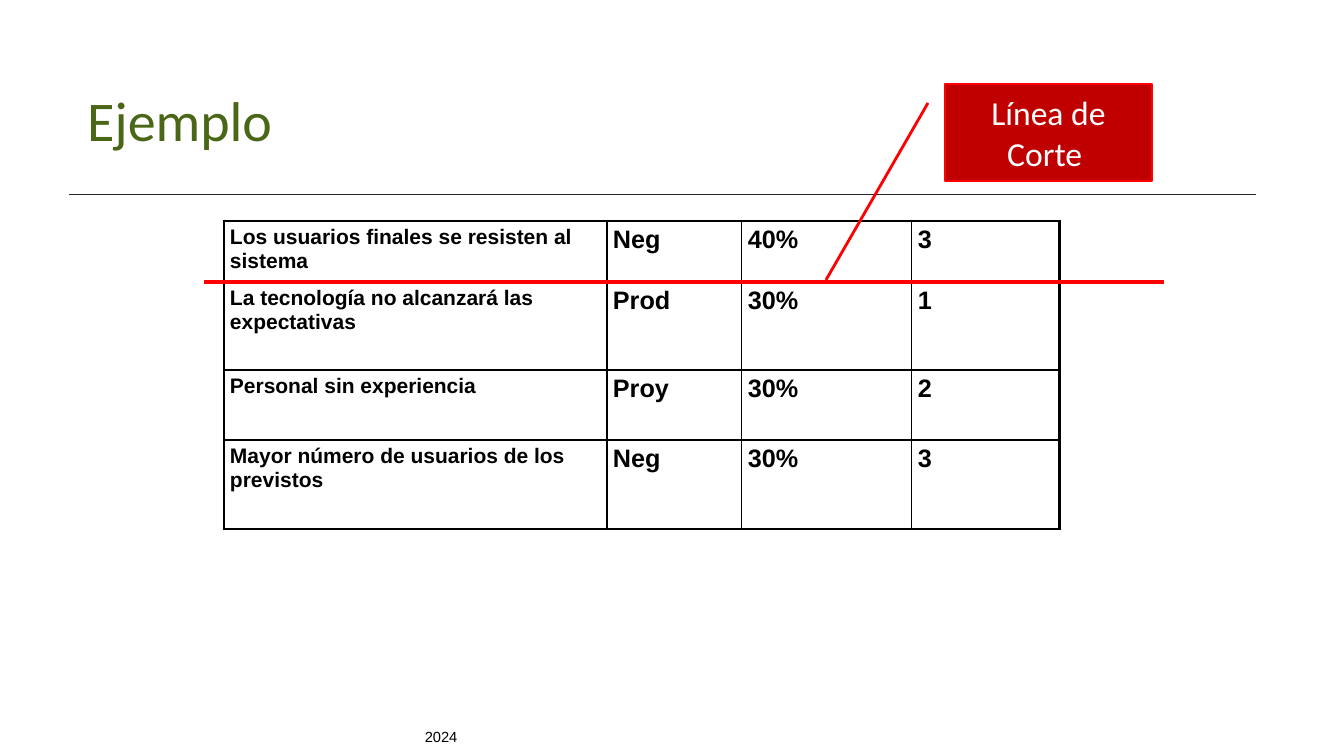
from lxml.etree import SubElement
from pptx import Presentation
from pptx.dml.color import RGBColor
from pptx.enum.shapes import MSO_CONNECTOR, MSO_SHAPE
from pptx.enum.text import MSO_ANCHOR, MSO_AUTO_SIZE, PP_ALIGN
from pptx.oxml.ns import qn
from pptx.util import Pt

# Content
TITLE = "Ejemplo"
YEAR = "2024"
CUT_LABEL = "Línea de Corte "
RISKS = [
    ("Los usuarios finales se resisten al sistema", "Neg", "40%", "3"),
    ("La tecnología no alcanzará las expectativas", "Prod", "30%", "1"),
    ("Personal sin experiencia", "Proy", "30%", "2"),
    ("Mayor número de usuarios de los previstos", "Neg", "30%", "3"),
]

# Format, lengths in px
COLORS = {"title": "4A6617", "text": "000000", "rule": "262626",
          "cut": "FF0000", "label": "C00000", "white": "FFFFFF"}
FORMATS = {
    "title": {"name": "Calibri", "size": Pt(40), "bold": False},
    "year": {"name": "Arial", "size": Pt(10.5), "bold": False},
    "risk": {"name": "Arial", "size": Pt(15), "bold": True},
    "value": {"name": "Arial", "size": Pt(18), "bold": True},
    "label": {"name": "Calibri", "size": Pt(24), "bold": False},
}
COLUMNS = [383, 135, 170, 148]
ROWS = [61, 88, 70, 89]
TABLE_LEFT, TABLE_TOP = 224, 221
LABEL_BOX = (945, 84, 207, 97)
POINTER = [(928, 103), (826, 280)]
THIN, THICK = 0.96, 2.21


def px(length):
    return round(length * 914400 / 100.8)


def write(frame, text, style, color):
    paragraph = frame.paragraphs[0]
    run = paragraph.add_run()
    run.text = text
    for key, value in FORMATS[style].items():
        setattr(run.font, key, value)
    run.font.color.rgb = RGBColor.from_string(COLORS[color])
    return paragraph


def draw_line(start, end, color, width):
    line = slide.shapes.add_connector(MSO_CONNECTOR.STRAIGHT, *map(px, start + end))
    line.line.color.rgb = RGBColor.from_string(COLORS[color])
    line.line.width = Pt(width)
    SubElement(line._element.spPr, qn("a:effectLst"))


def add_border(cell, side, width):
    border = SubElement(cell._tc.get_or_add_tcPr(), qn(f"a:ln{side}"), w=str(Pt(width)))
    fill = SubElement(border, qn("a:solidFill"))
    SubElement(fill, qn("a:srgbClr"), val=COLORS["text"])


deck = Presentation()
deck.slide_width, deck.slide_height = px(1344), px(756)
slide = deck.slides.add_slide(deck.slide_layouts[5])

# Title, rule and year
title = slide.shapes.title
title.left, title.top, title.width, title.height = map(px, (77, 54, 893, 140))
title.text_frame.auto_size = MSO_AUTO_SIZE.NONE
title.text_frame.vertical_anchor = MSO_ANCHOR.MIDDLE
heading = write(title.text_frame, TITLE, "title", "title")
heading.alignment = PP_ALIGN.LEFT
heading.line_spacing = 0.85
draw_line((69, 195), (1256, 195), "rule", 0.75)
year = slide.shapes.add_textbox(*map(px, (415, 723, 91, 28))).text_frame
year.word_wrap = True
write(year, YEAR, "year", "text")

# Risk table: thick outer border, thin inner borders
risk_table = slide.shapes.add_table(
    len(ROWS), len(COLUMNS),
    *map(px, (TABLE_LEFT, TABLE_TOP, sum(COLUMNS), sum(ROWS)))).table
risk_table.first_row = risk_table.horz_banding = False
for column, width in zip(risk_table.columns, COLUMNS):
    column.width = px(width)
for row, height in zip(risk_table.rows, ROWS):
    row.height = px(height)
for r, risk in enumerate(RISKS):
    for c, text in enumerate(risk):
        cell = risk_table.cell(r, c)
        cell.margin_left = cell.margin_right = px(6)
        cell.margin_top = cell.margin_bottom = px(5)
        write(cell.text_frame, text, "value" if c else "risk", "text")
        outer = {"L": c == 0, "R": c == len(COLUMNS) - 1,
                 "T": r == 0, "B": r == len(ROWS) - 1}
        for side, is_outer in outer.items():
            add_border(cell, side, THICK if is_outer else THIN)
        cell.fill.background()

# Cut line below the first risk
cut_y = TABLE_TOP + ROWS[0]
draw_line((204, cut_y), (1164, cut_y), "cut", 3)

# Label with its pointer; adjustments are fractions of the label box
label = slide.shapes.add_shape(MSO_SHAPE.LINE_CALLOUT_1, *map(px, LABEL_BOX))
left, top, width, height = LABEL_BOX
for i, (x, y) in enumerate(POINTER):
    label.adjustments[2 * i] = (y - top) / height
    label.adjustments[2 * i + 1] = (x - left) / width
label.shadow.inherit = False
label.fill.solid()
label.fill.fore_color.rgb = RGBColor.from_string(COLORS["label"])
label.line.color.rgb = RGBColor.from_string(COLORS["cut"])
label.line.width = Pt(2)
label.text_frame.word_wrap = True
label.text_frame.vertical_anchor = MSO_ANCHOR.MIDDLE
write(label.text_frame, CUT_LABEL, "label", "white").alignment = PP_ALIGN.CENTER

deck.save("out.pptx")
